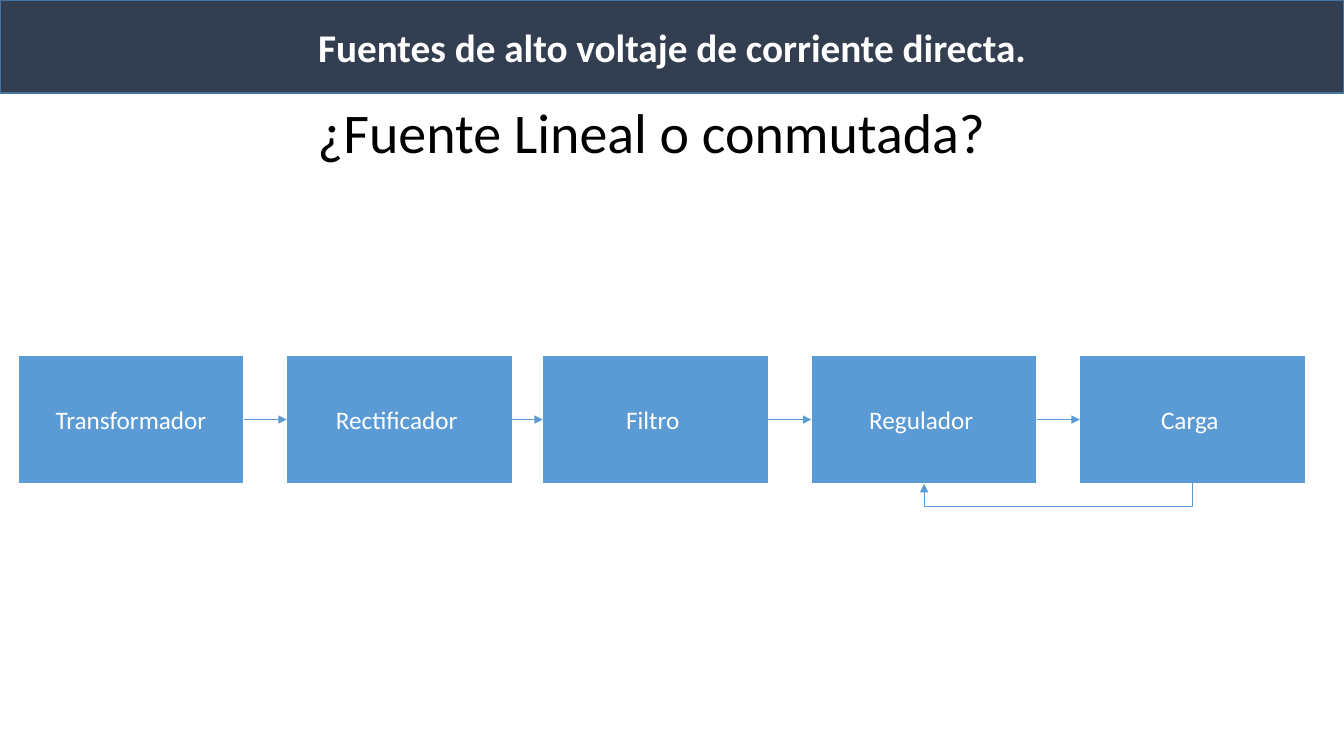
from lxml.etree import SubElement
from pptx import Presentation
from pptx.dml.color import RGBColor
from pptx.enum.shapes import MSO_CONNECTOR, MSO_SHAPE
from pptx.enum.text import MSO_ANCHOR, PP_ALIGN
from pptx.oxml.ns import qn
from pptx.util import Inches, Pt

WIDTH, HEIGHT = 13.33, 7.5
NAVY, NAVY_EDGE, BLUE, WHITE, BLACK = "333F50", "43739E", "5B9BD5", "FFFFFF", "000000"
STAGES = ["Transformador", "Rectificador ", "Filtro ", "Regulador ", "Carga "]
GAPS = [3.18, 2.25, 3.18, 3.18]
STAGE_LEFT, STAGE_TOP, STAGE_WIDTH, STAGE_HEIGHT = 1.35, 47.05, 16.8, 16.9
HEADER_HEIGHT = 12.3
BOTTOM_SITE, RIGHT_SITE, LEFT_SITE = 2, 3, 1


def columns(share):
    return Inches(WIDTH * share / 100)


def rows(share):
    return Inches(HEIGHT * share / 100)


def color(value):
    return RGBColor.from_string(value)


def write_text(shape, text, size=18, fill=WHITE, bold=False,
               align=PP_ALIGN.CENTER, anchor=MSO_ANCHOR.MIDDLE, wrap=True):
    frame = shape.text_frame
    frame.word_wrap = wrap
    frame.vertical_anchor = anchor
    paragraph = frame.paragraphs[0]
    paragraph.alignment = align
    run = paragraph.add_run()
    run.text = text
    run.font.name = "Calibri"
    run.font.size = Pt(size)
    run.font.bold = bold
    run.font.color.rgb = color(fill)


def add_box(slide, left, top, width, height, fill, edge):
    shape = slide.shapes.add_shape(
        MSO_SHAPE.RECTANGLE, columns(left), rows(top), columns(width), rows(height))
    shape.shadow.inherit = False
    shape.fill.solid()
    shape.fill.fore_color.rgb = color(fill)
    shape.line.color.rgb = color(edge)
    shape.line.width = Pt(1)
    return shape


def add_arrow(slide, kind, source, source_site, target, target_site):
    connector = slide.shapes.add_connector(kind, 0, 0, 0, 0)
    connector.begin_connect(source, source_site)
    connector.end_connect(target, target_site)
    connector.line.color.rgb = color(BLUE)
    connector.line.width = Pt(0.5)
    SubElement(connector.line._get_or_add_ln(), qn("a:tailEnd"), type="triangle")
    SubElement(connector._element.spPr, qn("a:effectLst"))
    return connector


def add_feedback(slide, source, target):
    connector = add_arrow(slide, MSO_CONNECTOR.ELBOW, source, BOTTOM_SITE, target, BOTTOM_SITE)
    span = source.left - target.left
    depth = Inches(0.01)
    drop = Inches(0.24)
    middle = (source.left + target.left + source.width) // 2
    connector.left = middle - depth // 2
    connector.top = source.top + source.height - span // 2
    connector.width, connector.height = depth, span
    properties = connector._element.spPr
    transform = properties.find(qn("a:xfrm"))
    for flip in ("flipH", "flipV"):
        transform.attrib.pop(flip, None)
    transform.set("rot", str(90 * 60000))
    guides = properties.find(qn("a:prstGeom")).get_or_add_avLst()
    SubElement(guides, qn("a:gd"), name="adj1", fmla=f"val {drop * 100000 // depth}")


def add_stages(slide):
    boxes = []
    left = STAGE_LEFT
    for name, gap in zip(STAGES, GAPS + [0]):
        box = add_box(slide, left, STAGE_TOP, STAGE_WIDTH, STAGE_HEIGHT, BLUE, WHITE)
        write_text(box, name)
        boxes.append(box)
        left += STAGE_WIDTH + gap
    return boxes


def main():
    presentation = Presentation()
    presentation.slide_width, presentation.slide_height = Inches(WIDTH), Inches(HEIGHT)
    slide = presentation.slides.add_slide(presentation.slide_layouts[6])

    header = add_box(slide, 0, 0, 100, HEADER_HEIGHT, NAVY, NAVY_EDGE)
    write_text(header, "Fuentes de alto voltaje de corriente directa.", size=28, bold=True)

    stages = add_stages(slide)
    for source, target in zip(stages, stages[1:]):
        add_arrow(slide, MSO_CONNECTOR.STRAIGHT, source, RIGHT_SITE, target, LEFT_SITE)
    add_feedback(slide, stages[-1], stages[-2])

    question = slide.shapes.add_textbox(
        columns(22.88), rows(HEADER_HEIGHT), columns(51.7), rows(10.3))
    write_text(question, "¿Fuente Lineal o conmutada?", size=40, fill=BLACK,
               align=PP_ALIGN.LEFT, anchor=MSO_ANCHOR.TOP, wrap=False)

    presentation.save("out.pptx")


if __name__ == "__main__":
    main()
